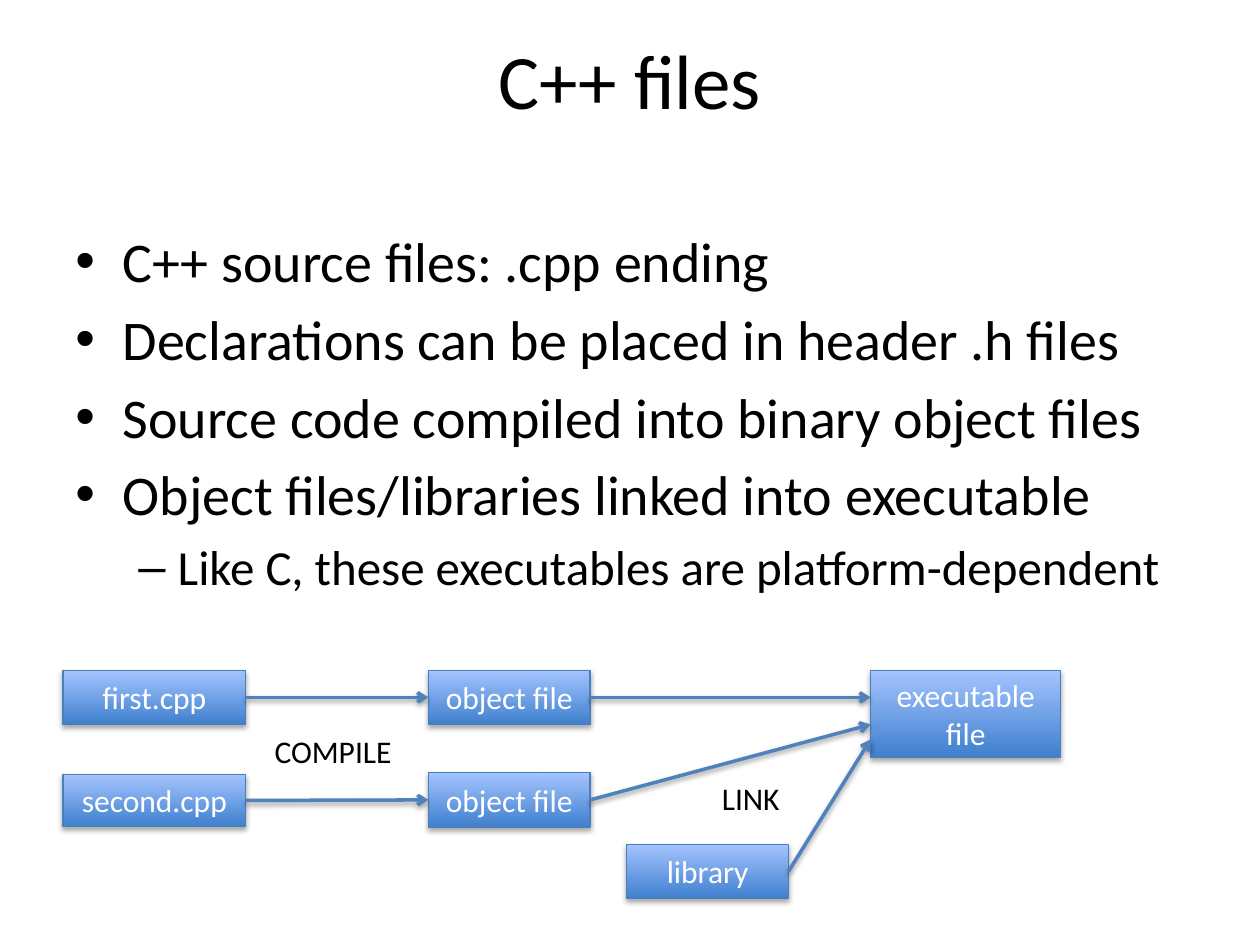
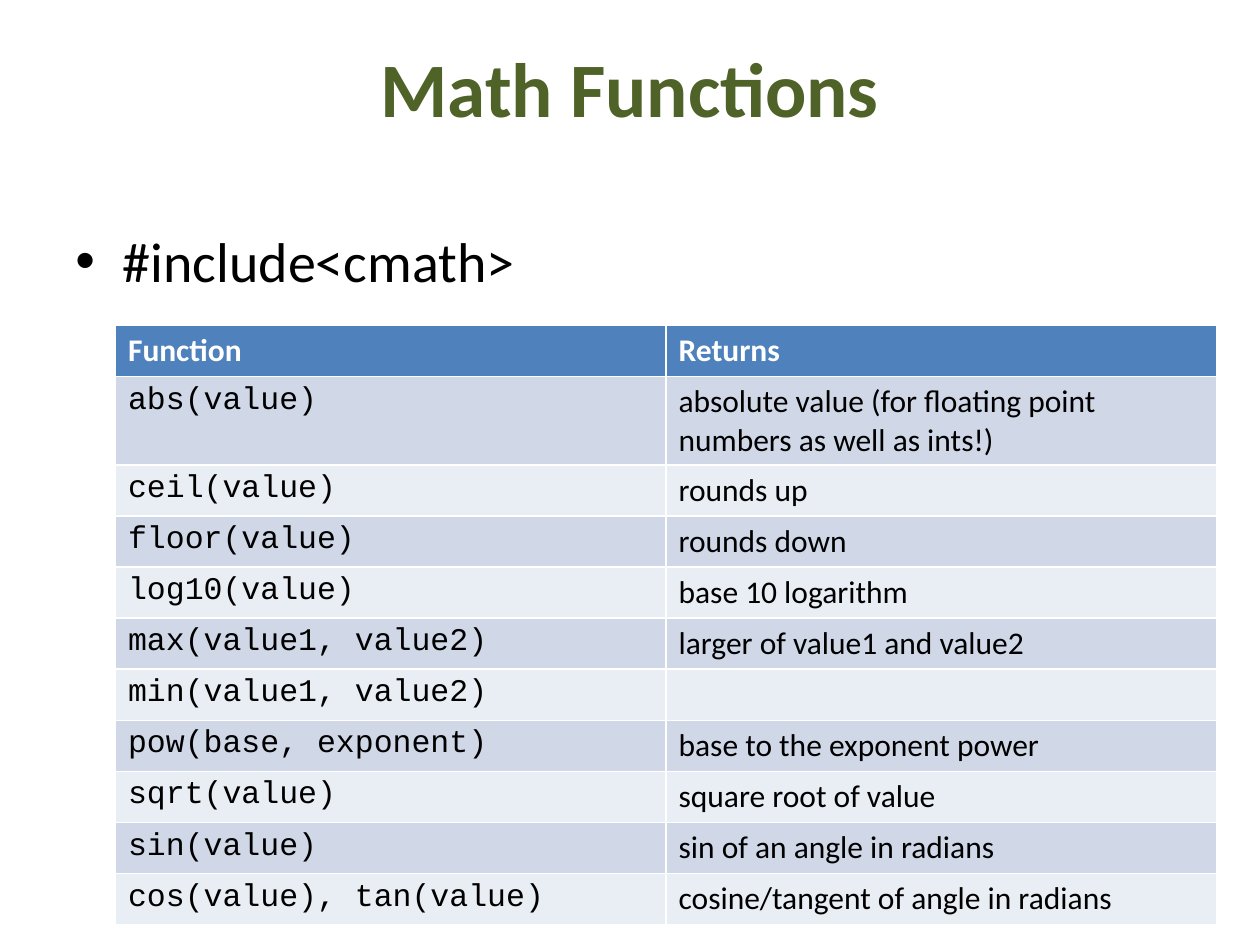
from lxml import etree
from pptx import Presentation
from pptx.dml.color import RGBColor
from pptx.enum import shapes, text
from pptx.oxml import parse_xml
from pptx.oxml.ns import nsdecls, qn
from pptx.util import Pt

colour = RGBColor.from_string
BLACK, WHITE = "000000", "FFFFFF"
BLUE, BOX_EDGE = "4F81BD", "4B7EBC"
BOX_BOTTOM, BOX_TOP = "3F80CE", "A4C4FF"
OLIVE = "4F6228"
BAND_DARK, BAND_LIGHT = "D0D8E8", "E9EDF4"
BODY_FONT, CODE_FONT = "Calibri", "Courier New"

# Bullet sign, left margin, hanging indent, text size and space before, by level
BULLETS = [("•", 27, 27, 32, 6), ("–", 58.5, 22.5, 28, 5.6)]

SHADOW = (
    '<a:effectLst %s><a:outerShdw blurRad="39370" dist="%d" dir="5400000" rotWithShape="0">'
    '<a:srgbClr val="000000"><a:alpha val="%d"/></a:srgbClr></a:outerShdw></a:effectLst>'
)


def add_run(paragraph, words, size, hex_colour=BLACK, font=BODY_FONT, bold=False):
    run = paragraph.add_run()
    run.text = words
    run.font.size = Pt(size)
    run.font.name = font
    run.font.bold = bold
    run.font.color.rgb = colour(hex_colour)


def add_frame(slide, left, top, width, height):
    """Add a wrapping text box and return its text frame."""
    box = slide.shapes.add_textbox(Pt(left), Pt(top), Pt(width), Pt(height))
    box.text_frame.word_wrap = True
    return box.text_frame


presentation = Presentation()
presentation.slide_width, presentation.slide_height = Pt(720), Pt(540)

# Title and bullets of both slides: title, top, height, colour, bold, bullets
pages = [
    ("C++ files", 0, 90, BLACK, False, [
        (0, "C++ source files: .cpp ending"),
        (0, "Declarations can be placed in header .h files"),
        (0, "Source code compiled into binary object files"),
        (0, "Object files/libraries linked into executable"),
        (1, "Like C, these executables are platform-dependent"),
    ]),
    ("Math Functions", 9.4, 80, OLIVE, True, [(0, "#include<cmath>")]),
]
for title, top, height, title_colour, bold, bullets in pages:
    slide = presentation.slides.add_slide(presentation.slide_layouts[6])
    frame = add_frame(slide, 36, top, 648, height)
    frame.vertical_anchor = text.MSO_ANCHOR.MIDDLE
    frame.paragraphs[0].alignment = text.PP_ALIGN.CENTER
    add_run(frame.paragraphs[0], title, 44, title_colour, bold=bold)

    frame = add_frame(slide, 36, 126, 648, 356.4)
    for index, (level, words) in enumerate(bullets):
        sign, margin, hanging, size, space = BULLETS[level]
        paragraph = frame.add_paragraph() if index else frame.paragraphs[0]
        paragraph.level = level
        properties = paragraph._p.get_or_add_pPr()
        properties.set("marL", str(Pt(margin)))
        properties.set("indent", str(-Pt(hanging)))
        etree.SubElement(properties, qn("a:buFont")).set("typeface", "Arial")
        etree.SubElement(properties, qn("a:buChar")).set("char", sign)
        if index:
            paragraph.space_before = Pt(space)
        add_run(paragraph, words, size)

files_slide, math_slide = presentation.slides

# Build diagram: lines of text, left, top, width, height
file_boxes = {
    "first": (["first.cpp"], 36, 383, 104.4, 31),
    "second": (["second.cpp"], 36, 442.4, 104.4, 30),
    "first object": (["object file"], 244.8, 383, 92.4, 31),
    "second object": (["object file"], 244.8, 441.6, 92.4, 31),
    "library": (["library"], 358.2, 482.4, 92.4, 31),
    "executable": (["executable", "file"], 497.5, 383, 108.7, 49.7),
}
boxes = {}
for name, (lines, *place) in file_boxes.items():
    box = files_slide.shapes.add_shape(shapes.MSO_SHAPE.RECTANGLE, *map(Pt, place))
    boxes[name] = box
    box.fill.gradient()
    box.fill.gradient_angle = 90
    for stop, position, hex_colour in zip(box.fill.gradient_stops, (0, 1), (BOX_BOTTOM, BOX_TOP)):
        stop.position = position
        stop.color.rgb = colour(hex_colour)
    box.line.color.rgb = colour(BOX_EDGE)
    box.line.width = Pt(0.75)
    box._element.spPr.append(parse_xml(SHADOW % (nsdecls("a"), Pt(1.8), 35000)))
    frame = box.text_frame
    frame.vertical_anchor = text.MSO_ANCHOR.MIDDLE
    for index, words in enumerate(lines):
        paragraph = frame.add_paragraph() if index else frame.paragraphs[0]
        paragraph.alignment = text.PP_ALIGN.CENTER
        add_run(paragraph, words, 18, WHITE)

# Arrows run from the right side of a box to a point on the next one
arrows = [
    ("first", 244.8, 398.5),
    ("second", 244.8, 457.1),
    ("first object", 497.5, 398.5),
    ("second object", 497.5, 414),
    ("library", 497.5, 422.6),
]
for start, end_x, end_y in arrows:
    arrow = files_slide.shapes.add_connector(
        shapes.MSO_CONNECTOR.STRAIGHT, Pt(0), Pt(0), Pt(end_x), Pt(end_y))
    arrow.begin_connect(boxes[start], 3)
    arrow.line.color.rgb = colour(BLUE)
    arrow.line.width = Pt(2)
    etree.SubElement(arrow.line._get_or_add_ln(), qn("a:tailEnd")).set("type", "arrow")
    arrow._element.spPr.append(parse_xml(SHADOW % (nsdecls("a"), Pt(1.6), 38000)))

for step, left, top in [("COMPILE", 149.8, 414.7), ("LINK", 405.4, 441.6)]:
    add_run(add_frame(files_slide, left, top, 88, 29).paragraphs[0], step, 18)

# Function table
functions = [
    ("Function", "Returns"),
    ("abs(value)", "absolute value (for floating point numbers as well as ints!)"),
    ("ceil(value)", "rounds up"),
    ("floor(value)", "rounds down"),
    ("log10(value)", "base 10 logarithm"),
    ("max(value1, value2)", "larger of value1 and value2"),
    ("min(value1, value2)", ""),
    ("pow(base, exponent)", "base to the exponent power"),
    ("sqrt(value)", "square root of value"),
    ("sin(value)", "sin of an angle in radians"),
    ("cos(value), tan(value)", "cosine/tangent of angle in radians"),
]
table = math_slide.shapes.add_table(
    len(functions), 2, Pt(66), Pt(186), Pt(629.2), Pt(29.2 * len(functions))).table
for row_index, row in enumerate(functions):
    header = row_index == 0
    band = BLUE if header else BAND_DARK if row_index % 2 else BAND_LIGHT
    for column_index, words in enumerate(row):
        cell = table.cell(row_index, column_index)
        cell.fill.solid()
        cell.fill.fore_color.rgb = colour(band)
        if words:
            font = BODY_FONT if header or column_index else CODE_FONT
            add_run(cell.text_frame.paragraphs[0], words, 18,
                    WHITE if header else BLACK, font, header)

presentation.save("out.pptx")
